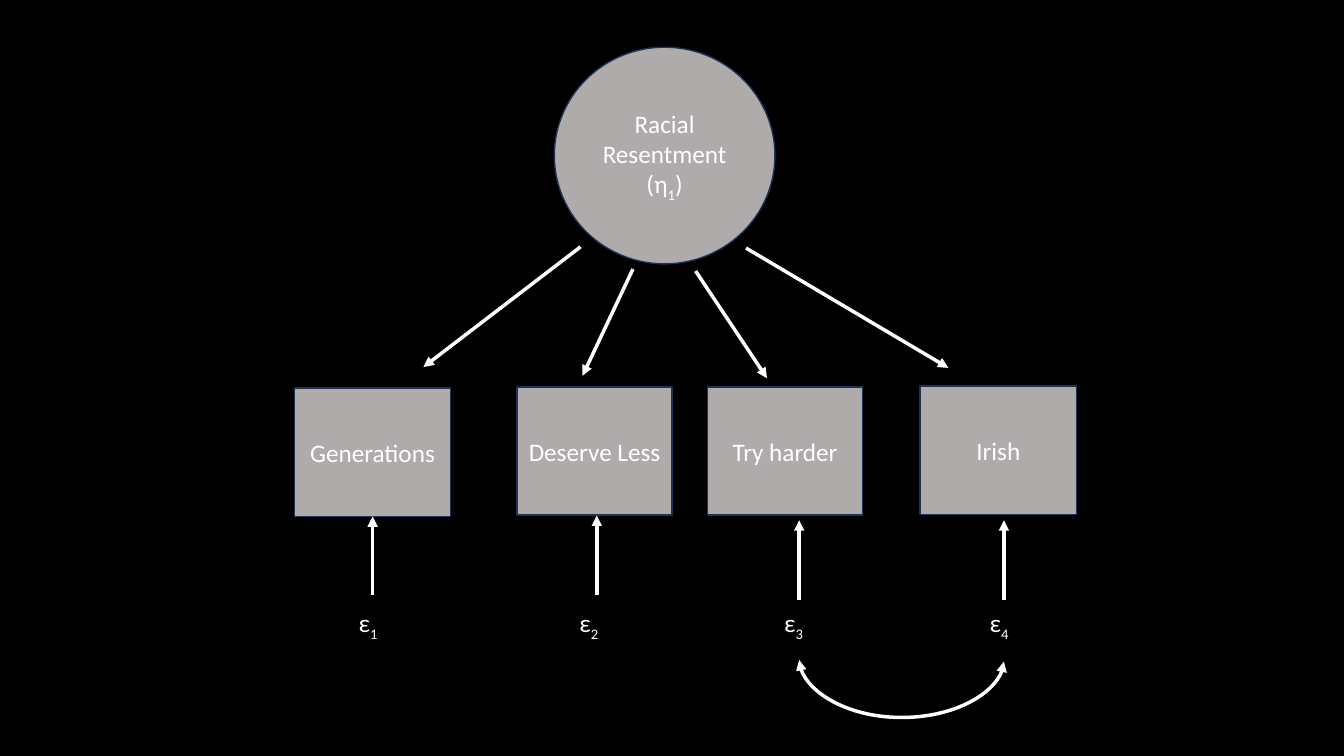
from lxml import etree
from pptx import Presentation
from pptx.dml.color import RGBColor
from pptx.enum.shapes import MSO_CONNECTOR, MSO_SHAPE
from pptx.enum.text import MSO_ANCHOR, MSO_AUTO_SIZE, PP_ALIGN
from pptx.oxml.ns import qn
from pptx.util import Cm, Pt

OVAL, RECT = MSO_SHAPE.OVAL, MSO_SHAPE.RECTANGLE
STRAIGHT, CURVE = MSO_CONNECTOR.STRAIGHT, MSO_CONNECTOR.CURVE
CENTER, LEFT = PP_ALIGN.CENTER, PP_ALIGN.LEFT
MIDDLE, GROW = MSO_ANCHOR.MIDDLE, MSO_AUTO_SIZE.SHAPE_TO_FIT_TEXT
BLACK, WHITE, GREY, NAVY = "000000", "FFFFFF", "AFABAB", "1E3256"
BOTTOM_SITE = 2

# A paragraph is a list of (text, is_subscript) runs; lengths are centimetres.
FACTOR = [[("Racial Resentment", False)],
          [("(η", False), ("1", True), (")", False)]]
FACTOR_AT = (13.97, 1.19, 5.56, 5.46)
BOX_H = 3.23
# name, left, top, width, error arrow x, arrow start y, error label left
INDICATORS = [
    ("Generations", 7.42, 9.78, 3.94, 9.39, 14.99, 8.79),
    ("Deserve Less", 13.03, 9.75, 3.91, 15.04, 14.99, 14.35),
    ("Try harder", 17.83, 9.75, 3.91, 20.14, 15.11, 19.51),
    ("Irish", 23.19, 9.73, 3.94, 25.3, 15.11, 24.69),
]
ERROR_ARROW_LENGTH = 2.0
ERROR_TOP, ERROR_W, ERROR_H = 15.19, 1.24, 1.02
LOADINGS = [
    (14.63, 6.22, 10.67, 9.25),
    (15.95, 6.78, 14.68, 9.47),
    (17.53, 6.83, 19.33, 9.53),
    (18.8, 6.25, 23.9, 9.27),
]
COVARIANCE_Y, COVARIANCE_DEPTH, COVARIANCE_RISE = 16.65, 1.45, 0.04


def rgb(value):
    return RGBColor.from_string(value)


def write(sp, paragraphs, size=18, color=WHITE, align=CENTER, anchor=MIDDLE):
    tf = sp.text_frame
    tf.word_wrap = True
    tf.vertical_anchor = anchor
    for i, runs in enumerate(paragraphs):
        p = tf.paragraphs[0] if i == 0 else tf.add_paragraph()
        p.alignment = align
        for text, subscript in runs:
            r = p.add_run()
            r.text = text
            r.font.name = "Calibri"
            r.font.size = Pt(size)
            r.font.color.rgb = rgb(color)
            if subscript:
                r.font._element.set("baseline", "-25000")


def add_node(s, kind, at, paragraphs):
    sp = s.shapes.add_shape(kind, *map(Cm, at))
    sp.shadow.inherit = False
    sp.fill.solid()
    sp.fill.fore_color.rgb = rgb(GREY)
    sp.line.color.rgb = rgb(NAVY)
    sp.line.width = Pt(1)
    write(sp, paragraphs)
    return sp


def add_arrow(s, points, kind=STRAIGHT, ends=("tailEnd",)):
    line = s.shapes.add_connector(kind, *map(Cm, points))
    line.line.color.rgb = rgb(WHITE)
    line.line.width = Pt(2.5)
    ln = line.line._get_or_add_ln()
    for end in ends:
        etree.SubElement(ln, qn(f"a:{end}")).set("type", "triangle")
    etree.SubElement(line._element.spPr, qn("a:effectLst"))
    return line


def add_covariance(s, x1, x2):
    """Draw a double-headed U: a curved connector turned by 270 degrees."""
    mid, half, rise = (x1 + x2) / 2, (x2 - x1) / 2, COVARIANCE_RISE
    line = add_arrow(s, (mid + rise / 2, COVARIANCE_Y - half,
                         mid - rise / 2, COVARIANCE_Y + half),
                     CURVE, ("headEnd", "tailEnd"))
    spPr = line._element.spPr
    spPr.find(qn("a:xfrm")).set("rot", str(270 * 60000))
    guide = etree.SubElement(spPr.find(".//" + qn("a:avLst")), qn("a:gd"))
    guide.set("name", "adj1")
    guide.set("fmla", f"val {round(COVARIANCE_DEPTH / rise * 100000)}")


def main():
    prs = Presentation()
    prs.slide_width, prs.slide_height = Cm(33.87), Cm(19.05)
    s = prs.slides.add_slide(prs.slide_layouts[6])
    s.background.fill.solid()
    s.background.fill.fore_color.rgb = rgb(BLACK)

    add_node(s, OVAL, FACTOR_AT, FACTOR)
    for points in LOADINGS:
        add_arrow(s, points)

    for i, (name, x, y, w, arrow_x, start_y, label_x) in enumerate(INDICATORS, 1):
        box = add_node(s, RECT, (x, y, w, BOX_H), [[(name, False)]])
        arrow = add_arrow(s, (arrow_x, start_y, arrow_x, start_y - ERROR_ARROW_LENGTH))
        if abs(x + w / 2 - arrow_x) < 0.01:
            arrow.end_connect(box, BOTTOM_SITE)
        label = s.shapes.add_textbox(*map(Cm, (label_x, ERROR_TOP, ERROR_W, ERROR_H)))
        write(label, [[("ε", False), (str(i), True)]], align=LEFT, anchor=MSO_ANCHOR.TOP)
        label.text_frame.auto_size = GROW

    add_covariance(s, INDICATORS[2][4], INDICATORS[3][4])
    prs.save("out.pptx")


if __name__ == "__main__":
    main()
